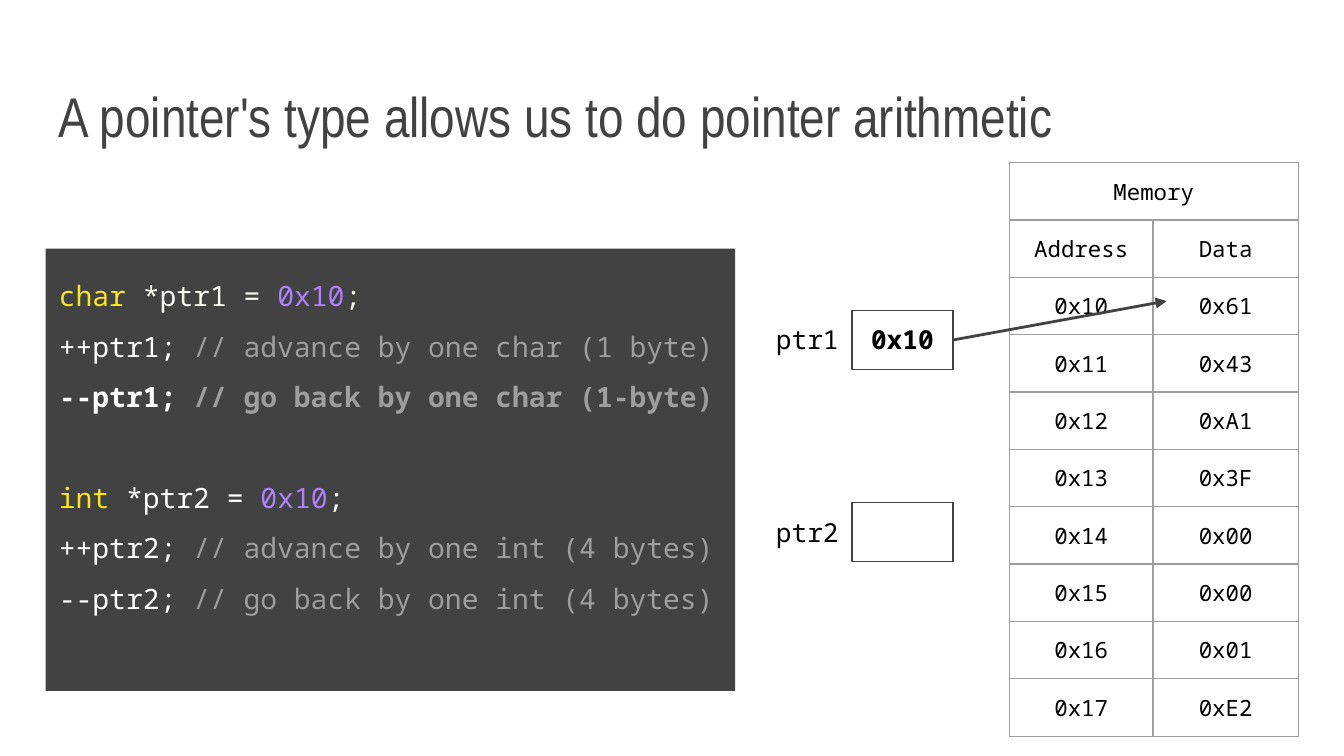
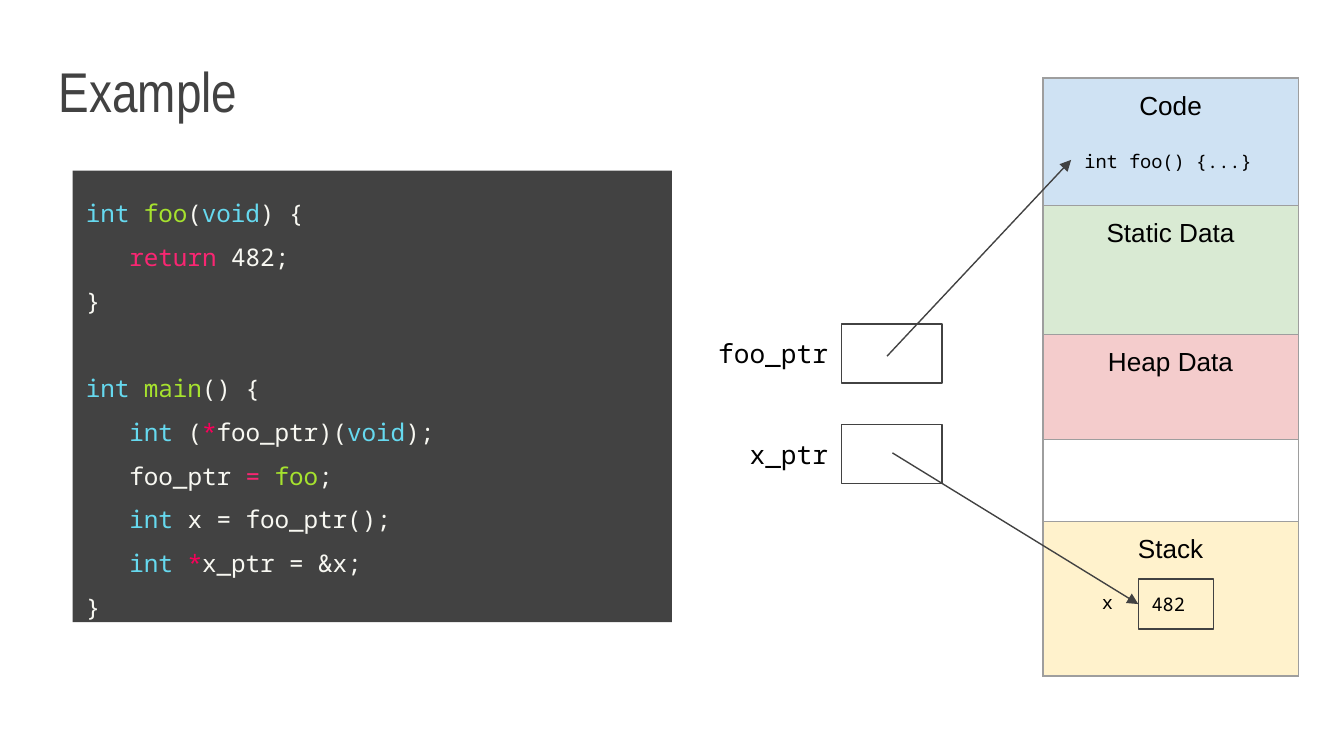
from dataclasses import dataclass

from lxml.etree import SubElement
from pptx import Presentation
from pptx.dml.color import RGBColor
from pptx.enum.shapes import MSO_CONNECTOR, MSO_SHAPE
from pptx.enum.text import MSO_ANCHOR, PP_ALIGN
from pptx.oxml.ns import qn
from pptx.util import Inches, Pt

COLORS = {
    "dark": "424242", "black": "000000", "white": "FFFFFF", "grey": "9E9E9E",
    "code": "F8F8F2", "yellow": "F8E71C", "purple": "AE81FF", "cyan": "66D9EF",
    "green": "A6E22E", "pink": "F92672", "star": "F9005A",
    "blue area": "CFE2F3", "green area": "D9EAD3",
    "red area": "F4CCCC", "yellow area": "FFF2CC",
}
MONO, SANS, NARROW = "Noto Sans Mono", "Arial", "Arial Narrow"
LEFT, RIGHT = 1, 3
BOX_W, BOX_H = 0.75, 0.44


@dataclass
class Line:
    """A line of code: (text, colour) runs, with an optional indent or gap above."""
    runs: list
    indent: bool = False
    gap: bool = False
    bold: bool = False


def rgb(name):
    return RGBColor.from_string(COLORS[name])


class Deck:
    def __init__(self):
        self.prs = Presentation()
        self.prs.slide_width = Inches(10)
        self.prs.slide_height = Inches(10 * 9 / 16)
        self.s = None

    def new_slide(self, title, top):
        self.s = self.prs.slides.add_slide(self.prs.slide_layouts[6])
        self.text(title, 0.34, top, 9.32, 0.8, size=30, font=NARROW,
                  color="dark", anchor=MSO_ANCHOR.BOTTOM)

    def frame(self, tf, anchor=MSO_ANCHOR.TOP):
        tf.word_wrap = True
        tf.vertical_anchor = anchor
        tf.margin_left = tf.margin_right = tf.margin_top = tf.margin_bottom = Inches(0.1)
        return tf

    def run(self, p, text, size, font=MONO, color="black", bold=False):
        r = p.add_run()
        r.text = text
        r.font.size, r.font.name, r.font.bold = Pt(size), font, bold
        r.font.color.rgb = rgb(color)

    def text(self, text, x, y, w, h, size=10, font=MONO, color="black",
             align=PP_ALIGN.LEFT, anchor=MSO_ANCHOR.TOP):
        box = self.s.shapes.add_textbox(Inches(x), Inches(y), Inches(w), Inches(h))
        p = self.frame(box.text_frame, anchor).paragraphs[0]
        p.alignment = align
        self.run(p, text, size, font, color)

    def rect(self, x, y, w, h, fill=None, line=None):
        sp = self.s.shapes.add_shape(MSO_SHAPE.RECTANGLE, Inches(x), Inches(y),
                                     Inches(w), Inches(h))
        sp.shadow.inherit = False
        if fill:
            sp.fill.solid()
            sp.fill.fore_color.rgb = rgb(fill)
        else:
            sp.fill.background()
        if line:
            sp.line.color.rgb = rgb(line)
            sp.line.width = Pt(0.75)
        else:
            sp.line.fill.background()
        self.frame(sp.text_frame)
        return sp

    def box(self, x, y, w=BOX_W, h=BOX_H, value="", size=14, bold=False,
            align=PP_ALIGN.CENTER):
        sp = self.rect(x, y, w, h, line="dark")
        if value:
            p = sp.text_frame.paragraphs[0]
            p.alignment = align
            self.run(p, value, size, bold=bold)
        return sp

    def variable(self, name, x, y, label_w, value=""):
        """Right-aligned name followed by its memory box."""
        self.text(name, x - label_w, y, label_w, BOX_H, size=14, align=PP_ALIGN.RIGHT)
        return self.box(x, y, value=value, bold=True)

    def code(self, lines, x, y, w, h, size):
        tf = self.rect(x, y, w, h, fill="dark").text_frame
        for i, line in enumerate(lines):
            p = tf.add_paragraph() if i else tf.paragraphs[0]
            p.alignment = PP_ALIGN.LEFT
            p.line_spacing = 1.5
            if line.gap:
                p.space_before = Pt(1.8 * size)
            if line.indent:
                # three monospaced characters
                p._p.get_or_add_pPr().set("marL", str(Pt(1.8 * size)))
            for text, color in line.runs:
                self.run(p, text, size, color=color, bold=line.bold)

    def table(self, x, y, cols, rows):
        tbl = self.s.shapes.add_table(len(rows), len(cols), Inches(x), Inches(y),
                                      Inches(sum(cols)), Inches(sum(rows))).table
        tbl.first_row = tbl.horz_banding = False
        for col, w in zip(tbl.columns, cols):
            col.width = Inches(w)
        for row, h in zip(tbl.rows, rows):
            row.height = Inches(h)
        return tbl

    def cell(self, cell, text, size, font=MONO, fill=None):
        cell.margin_left = cell.margin_right = Inches(0.1)
        cell.margin_top = cell.margin_bottom = Inches(0.1)
        tc_pr = cell._tc.get_or_add_tcPr()
        for side in ("lnL", "lnR", "lnT", "lnB"):
            ln = SubElement(tc_pr, qn(f"a:{side}"), w=str(Pt(0.75)))
            solid = SubElement(ln, qn("a:solidFill"))
            SubElement(solid, qn("a:srgbClr"), val=COLORS["grey"])
        if fill:
            cell.fill.solid()
            cell.fill.fore_color.rgb = rgb(fill)
        else:
            cell.fill.background()
        if text:
            p = cell.text_frame.paragraphs[0]
            p.alignment = PP_ALIGN.CENTER
            self.run(p, text, size, font)

    def arrow(self, x1, y1, x2, y2, width=0.75, begin=None, end=None):
        c = self.s.shapes.add_connector(MSO_CONNECTOR.STRAIGHT, Inches(x1), Inches(y1),
                                        Inches(x2), Inches(y2))
        if begin:
            c.begin_connect(begin, RIGHT)
        if end:
            c.end_connect(end, LEFT)
        c.line.color.rgb = rgb("dark")
        c.line.width = Pt(width)
        SubElement(c.line._get_or_add_ln(), qn("a:tailEnd"), type="triangle")
        SubElement(c._element.spPr, qn("a:effectLst"))


def pointer_arithmetic(deck):
    deck.new_slide("A pointer's type allows us to do pointer arithmetic", 0.41)

    data = ["0x61", "0x43", "0xA1", "0x3F", "0x00", "0x00", "0x01", "0xE2"]
    rows = [("Memory", ""), ("Address", "Data")]
    rows += [(f"0x{10 + i}", value) for i, value in enumerate(data)]
    tbl = deck.table(7.51, 1.21, [1.07, 1.08], [4.27 / len(rows)] * len(rows))
    tbl.cell(0, 0).merge(tbl.cell(0, 1))
    for i, row in enumerate(rows):
        for j, text in enumerate(row):
            deck.cell(tbl.cell(i, j), text, 12)

    deck.code([
        Line([("char ", "yellow"), ("*ptr1 = ", "code"), ("0x10", "purple"), (";", "code")]),
        Line([("++ptr1; ", "white"), ("// advance by one char (1 byte)", "grey")]),
        Line([("--ptr1; ", "white"), ("// go back by one char (1-byte)", "grey")], bold=True),
        Line([("int ", "yellow"), ("*ptr2 = ", "white"), ("0x10", "purple"), (";", "white")],
             gap=True),
        Line([("++ptr2; ", "white"), ("// advance by one int (4 bytes)", "grey")]),
        Line([("--ptr2; ", "white"), ("// go back by one int (4 bytes)", "grey")]),
    ], 0.34, 1.85, 5.13, 3.29, size=15)

    ptr1 = deck.variable("ptr1", 6.34, 2.31, 0.73, value="0x10")
    deck.variable("ptr2", 6.34, 3.74, 0.73)
    deck.arrow(7.09, 2.53, 8.68, 2.24, width=1.5, begin=ptr1)


def function_pointer_example(deck):
    deck.new_slide("Example", 0.22)

    deck.code([
        Line([("int ", "cyan"), ("foo", "green"), ("(", "code"), ("void", "cyan"),
              (") {", "code")]),
        Line([("return", "pink"), (" 482;", "code")], indent=True),
        Line([("}", "code")]),
        Line([("int ", "cyan"), ("main", "green"), ("() {", "code")], gap=True),
        Line([("int", "cyan"), (" (", "code"), ("*", "star"), ("foo_ptr)(", "code"),
              ("void", "cyan"), (");", "code")], indent=True),
        Line([("foo_ptr ", "code"), ("= ", "pink"), ("foo", "green"), (";", "code")],
             indent=True),
        Line([("int", "cyan"), (" x = foo_ptr();", "code")], indent=True),
        Line([("int ", "cyan"), ("*", "star"), ("x_ptr = &x;", "code")], indent=True),
        Line([("}", "code")]),
    ], 0.54, 1.27, 4.46, 3.36, size=13)

    areas = [("Code", "blue area", 0.95), ("Static Data", "green area", 0.96),
             ("Heap Data", "red area", 0.78), ("", None, 0.61),
             ("Stack", "yellow area", 1.15)]
    tbl = deck.table(7.76, 0.58, [1.9], [height for _, _, height in areas])
    for i, (name, fill, _) in enumerate(areas):
        deck.cell(tbl.cell(i, 0), name, 14, SANS, fill)

    deck.text("int foo() {...}", 7.97, 1.03, 1.51, 0.37)
    deck.text("x", 8.1, 4.31, 0.33, 0.37)
    x_box = deck.box(8.47, 4.31, 0.56, 0.37, "482", size=10, align=PP_ALIGN.LEFT)

    deck.variable("foo_ptr", 6.26, 2.41, 1.19)
    deck.variable("x_ptr", 6.26, 3.16, 1.19)
    deck.arrow(6.6, 2.65, 7.97, 1.19)
    deck.arrow(6.64, 3.37, 8.47, 4.49, end=x_box)


def main():
    deck = Deck()
    pointer_arithmetic(deck)
    function_pointer_example(deck)
    deck.prs.save("out.pptx")


if __name__ == "__main__":
    main()
